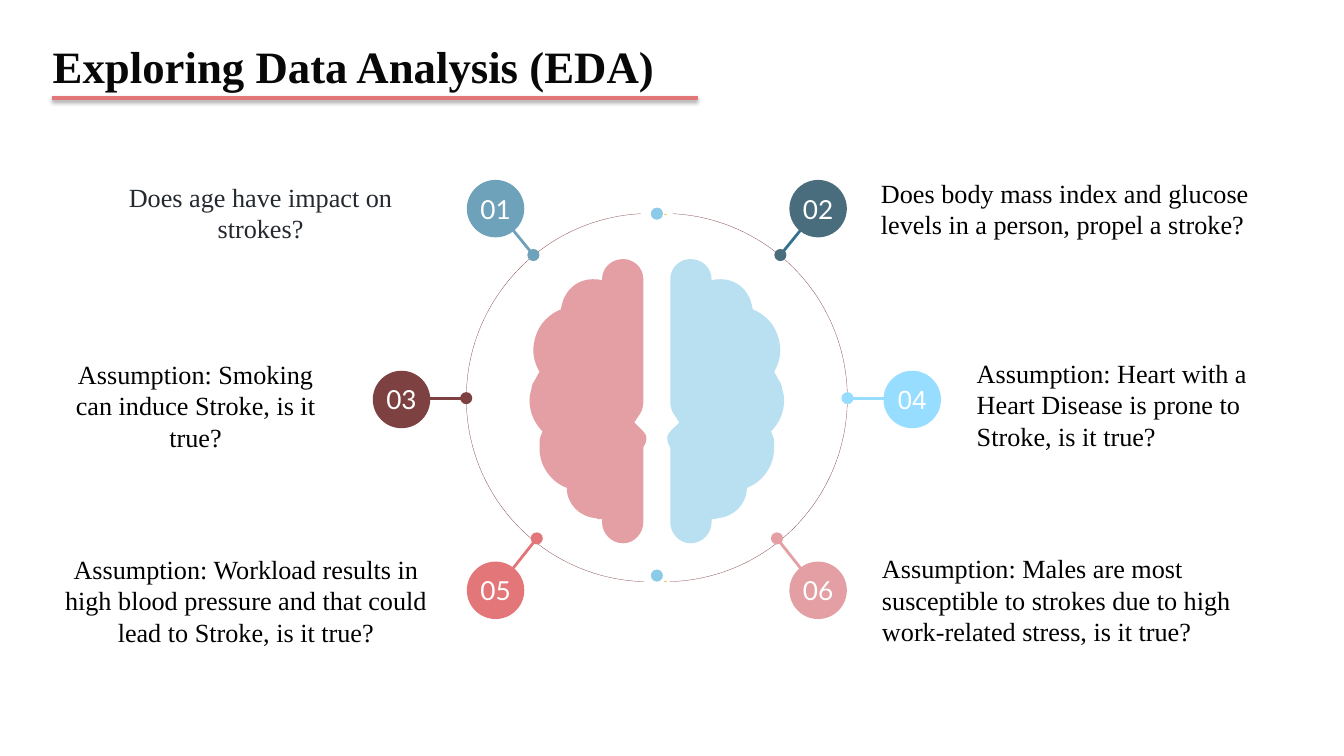
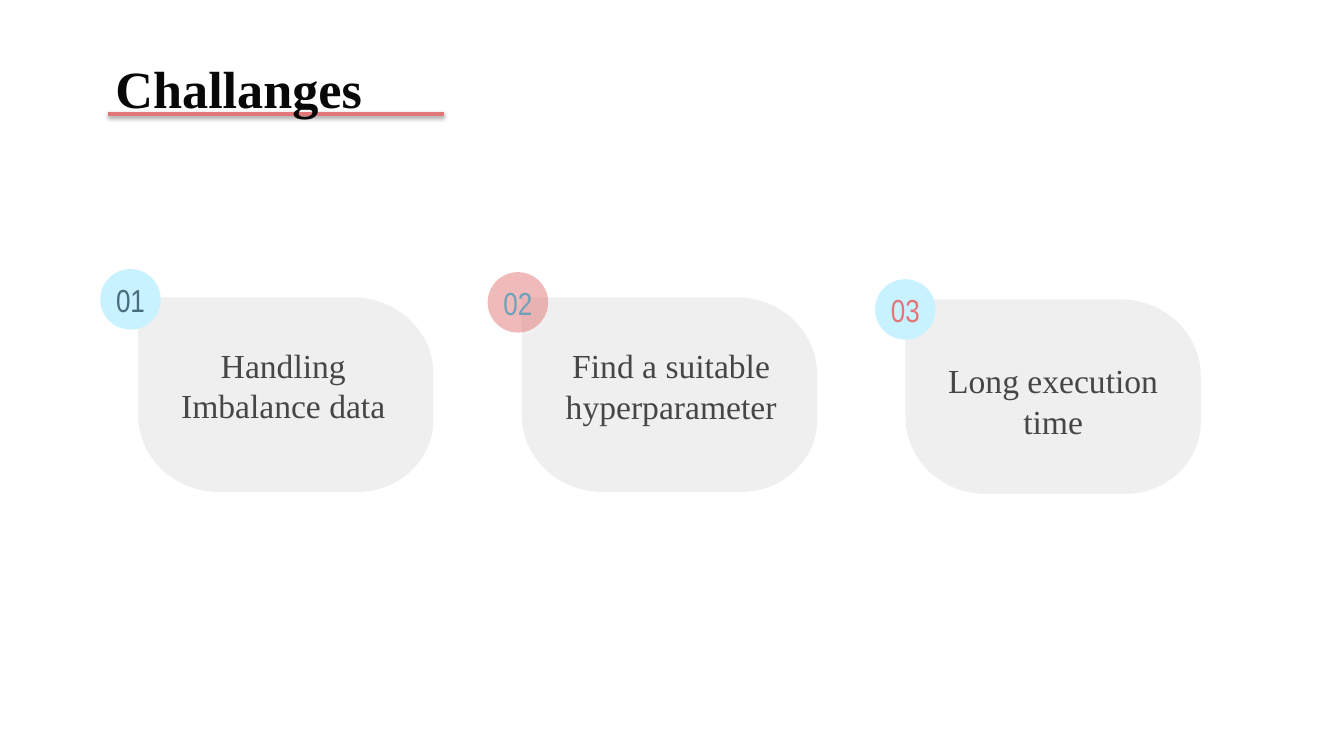
from collections import namedtuple
from dataclasses import dataclass

from lxml.etree import SubElement
from pptx import Presentation
from pptx.dml.color import RGBColor
from pptx.enum.shapes import MSO_CONNECTOR, MSO_SHAPE
from pptx.enum.text import MSO_ANCHOR, PP_ALIGN
from pptx.oxml.ns import qn
from pptx.util import Inches, Pt


@dataclass(frozen=True)
class Theme:
    black: str = "000000"
    title: str = "080808"
    ink: str = "24292F"
    grey: str = "464646"
    card: str = "EFEFEF"
    white: str = "FFFFFF"
    coral: str = "E37678"
    pink: str = "E39FA3"
    brown: str = "7E4142"
    steel: str = "6EA2BA"
    slate: str = "4A6D7D"
    navy: str = "337291"
    sky: str = "97DDFF"
    pale_sky: str = "C8F2FF"
    brain_blue: str = "B9E0F1"
    accent_blue: str = "8BCBE8"
    yellow: str = "FFC95C"
    serif: str = "Times New Roman"
    lato: str = "Lato"
    arial: str = "Arial"
    narrow: str = "Arial Narrow"
    body_size: float = 18.7
    card_size: float = 24
    card_number_size: float = 22.7
    hairline: float = 0.21
    stem: float = 2
    rule: float = 3


THEME = Theme()
SLIDE_WIDTH, SLIDE_HEIGHT = Inches(13.333), Inches(7.5)
COLUMNS, ROWS = 80, 45
TEXT_INSET = Inches(0.13)
AXIS = 39.1  # column of the brain's axis of symmetry
RING_TOP, RING_BOTTOM = 12.72, 34.62
OUTLINE_UNIT = 0.06  # grid cells per outline unit

# Outline steps: two numbers end a straight line, six hold a Bézier curve.
BRAIN_HALF = [
    (23, 0), (12, 0, 3, 9, 3, 20), (3, 141), (3, 145, 4, 150, 6, 153),
    (12, 162), (9, 166, 0, 172, 0, 177), (0, 181, 1, 184, 3, 187),
    (3, 261), (3, 272, 12, 282, 23, 282), (35, 282, 44, 272, 44, 261),
    (44, 258), (46, 258), (47, 258, 49, 258, 50, 257),
    (66, 256, 79, 243, 79, 227), (95, 221, 106, 205, 106, 188),
    (106, 186, 106, 183, 106, 181), (106, 177, 104, 174, 103, 171),
    (111, 163, 116, 152, 116, 140), (116, 136, 115, 132, 114, 129),
    (114, 125, 112, 122, 110, 119), (109, 116, 107, 114, 106, 112),
    (110, 105, 113, 96, 112, 87), (111, 77, 107, 67, 100, 60),
    (95, 55, 90, 52, 85, 50), (84, 47, 84, 45, 83, 42),
    (82, 39, 81, 37, 79, 34), (78, 32, 77, 31, 75, 29),
    (69, 23, 61, 20, 53, 20), (50, 20, 47, 20, 44, 21),
    (44, 20), (44, 9, 35, 0, 23, 0),
]
HALF_RING = [(16, 0), (112, 5, 189, 85, 189, 183), (189, 282, 111, 362, 13, 365)]
CARD = [
    (0, 0), (0, 117), (0, 159, 36, 193, 80, 193), (218, 193),
    (259, 193, 293, 161, 293, 122), (293, 76), (293, 34, 257, 0, 213, 0),
]

Question = namedtuple("Question", "number text box color stem font ink")
Challenge = namedtuple("Challenge", "number text box card_top badge_top fill alpha ink")

# Left and right question of each row, top to bottom.
QUESTIONS = [
    Question("01", "Does age have impact on strokes?", (4.2, 10.32, 22.62, 4.68),
             THEME.steel, THEME.steel, THEME.lato, THEME.ink),
    Question("02", "Does body mass index and glucose levels in a person, propel a stroke?",
             (51.66, 10.08, 26.4, 4.68), THEME.slate, THEME.navy, THEME.lato, THEME.black),
    Question("03", "Assumption: Smoking can induce Stroke, is it true?",
             (2.7, 21.78, 17.88, 4.68), THEME.brown, THEME.brown, THEME.lato, THEME.black),
    Question("04", "Assumption: Heart with a Heart Disease is prone to Stroke, is it true?",
             (57.36, 21.72, 20.52, 4.68), THEME.sky, THEME.sky, THEME.arial, THEME.black),
    Question("05", "Assumption: Workload results in high blood pressure and that could "
             "lead to Stroke, is it true?",
             (2.85, 32.82, 23.58, 5.82), THEME.coral, THEME.coral, THEME.lato, THEME.black),
    Question("06", "Assumption: Males are most susceptible to strokes due to high "
             "work-related stress, is it true?",
             (51.72, 33.36, 23.52, 4.68), THEME.pink, THEME.pink, THEME.lato, THEME.black),
]
# Per row: badge offset from the axis, dot offset from the axis, dot row.
SPOKES = [(9.6, 7.35, 15.18), (15.2, 11.35, 23.7), (9.6, 7.15, 32.05)]

CHALLENGES = [
    Challenge("01", "Handling Imbalance data", (8.22, 21.06, 17.28, 3.72),
              17.7, 16.02, THEME.pale_sky, None, THEME.slate),
    Challenge("02", "Find a suitable hyperparameter", (31.28, 21.06, 17.34, 3.78),
              17.7, 16.2, THEME.coral, 50, THEME.steel),
    Challenge("03", "Long execution time", (54.98, 21.96, 15.42, 3.78),
              17.82, 16.62, THEME.pale_sky, None, THEME.coral),
]


def across(columns):
    return round(SLIDE_WIDTH * columns / COLUMNS)


def down(rows):
    return round(SLIDE_HEIGHT * rows / ROWS)


def write_text(shape, text, font, size, color, alignment=PP_ALIGN.CENTER, bold=False):
    text_frame = shape.text_frame
    text_frame.text = text
    paragraph = text_frame.paragraphs[0]
    paragraph.alignment = alignment
    run_font = paragraph.runs[0].font
    run_font.name, run_font.size, run_font.bold = font, Pt(size), bold
    run_font.color.rgb = RGBColor.from_string(color)


def set_insets(text_frame, inset):
    text_frame.margin_left = text_frame.margin_right = inset
    text_frame.margin_top = text_frame.margin_bottom = inset


def add_text(slide, box, text, size, color, alignment=PP_ALIGN.LEFT,
             anchor=MSO_ANCHOR.MIDDLE, bold=False):
    left, top, width, height = box
    shape = slide.shapes.add_textbox(across(left), down(top), across(width), down(height))
    text_frame = shape.text_frame
    text_frame.word_wrap = True
    text_frame.vertical_anchor = anchor
    set_insets(text_frame, TEXT_INSET)
    write_text(shape, text, THEME.serif, size, color, alignment, bold)


def paint(shape, color, alpha=None):
    shape.shadow.inherit = False
    shape.line.fill.background()
    shape.fill.solid()
    shape.fill.fore_color.rgb = RGBColor.from_string(color)
    if alpha is not None:
        color_element = shape._element.spPr.find(qn("a:solidFill"))[0]
        SubElement(color_element, qn("a:alpha"), val=str(alpha * 1000))


def add_circle(slide, center, diameter, color, alpha=None):
    column, row = center
    shape = slide.shapes.add_shape(
        MSO_SHAPE.OVAL, across(column - diameter / 2), down(row - diameter / 2),
        across(diameter), down(diameter))
    paint(shape, color, alpha)
    return shape


def add_badge(slide, center, diameter, color, number, font, size, ink, alpha=None):
    shape = add_circle(slide, center, diameter, color, alpha)
    shape.text_frame.word_wrap = False
    shape.text_frame.vertical_anchor = MSO_ANCHOR.MIDDLE
    set_insets(shape.text_frame, 0)
    write_text(shape, number, font, size, ink)


def add_line(slide, start, end, color, width, shadow=False):
    line = slide.shapes.add_connector(
        MSO_CONNECTOR.STRAIGHT, across(start[0]), down(start[1]), across(end[0]), down(end[1]))
    line.line.color.rgb = RGBColor.from_string(color)
    line.line.width = Pt(width)
    effects = SubElement(line._element.spPr, qn("a:effectLst"))
    if shadow:
        outer = SubElement(effects, qn("a:outerShdw"), blurRad=str(Pt(3.1)),
                           dist=str(Pt(1.8)), dir="5400000", rotWithShape="0")
        color_element = SubElement(outer, qn("a:srgbClr"), val=THEME.black)
        SubElement(color_element, qn("a:alpha"), val="35000")


def add_outline(slide, outline, left, top, side=1, close=True):
    """Draw an outline; side -1 mirrors it leftwards from its left edge."""
    steps = [[(across(left + side * OUTLINE_UNIT * x), down(top + OUTLINE_UNIT * y))
              for x, y in zip(step[::2], step[1::2])] for step in outline]
    builder = slide.shapes.build_freeform(*steps[0][0])
    builder.add_line_segments([step[-1] for step in steps[1:]], close=close)
    shape = builder.convert_to_shape()
    segments = list(shape._element.iter(qn("a:lnTo")))
    for segment, step in zip(segments, steps[1:]):
        if len(step) == 3:
            bend_segment(segment, step, shape)
    return shape


def bend_segment(segment, controls, shape):
    """Replace a straight segment by a Bézier curve."""
    curve = segment.makeelement(qn("a:cubicBezTo"))
    for x, y in controls:
        SubElement(curve, qn("a:pt"), x=str(x - shape.left), y=str(y - shape.top))
    segment.getparent().replace(segment, curve)


def add_half_ring(slide, side):
    shape = add_outline(slide, HALF_RING, AXIS, RING_TOP, side, close=False)
    shape.shadow.inherit = False
    shape.fill.background()
    shape.line.color.rgb = RGBColor.from_string(THEME.brown)
    shape.line.width = Pt(THEME.hairline)


def add_title(slide, text, left, top, size, rule_start, rule_end, rule_row):
    add_line(slide, (rule_start, rule_row), (rule_end, rule_row),
             THEME.coral, THEME.rule, shadow=True)
    add_text(slide, (left, top, 52.08, 4.68), text, size, THEME.title,
             anchor=MSO_ANCHOR.BOTTOM, bold=True)


def add_brain(slide):
    for side, color in ((-1, THEME.pink), (1, THEME.brain_blue)):
        add_half_ring(slide, side)
        paint(add_outline(slide, BRAIN_HALF, AXIS + side * 0.62, 15.42, side), color)
    for row in (RING_TOP, RING_BOTTOM):
        add_line(slide, (AXIS + 0.44, row), (AXIS + 0.62, row), THEME.yellow, THEME.hairline)
    for row in (12.72, 34.26):
        add_circle(slide, (AXIS, row), 0.72, THEME.accent_blue)


def add_question(slide, index, question):
    row, column = divmod(index, 2)
    side = 1 if column else -1
    badge_offset, dot_offset, dot_row = SPOKES[row]
    badge = (AXIS + side * badge_offset, 12.42 + row * 11.36)
    dot = (AXIS + side * dot_offset, dot_row)
    # The middle spokes run level with their dots.
    stem_end = (badge[0], dot_row if row == 1 else badge[1])
    add_line(slide, dot, stem_end, question.stem, THEME.stem)
    add_circle(slide, dot, 0.72, question.color)
    add_badge(slide, badge, 3.42, question.color, question.number,
              question.font, THEME.body_size, THEME.white)
    add_text(slide, question.box, question.text, THEME.body_size, question.ink,
             PP_ALIGN.LEFT if column else PP_ALIGN.CENTER)


def add_challenge(slide, index, challenge):
    paint(add_outline(slide, CARD, 8.22 + index * 22.84, challenge.card_top), THEME.card)
    add_text(slide, challenge.box, challenge.text, THEME.card_size, THEME.grey, PP_ALIGN.CENTER)
    add_badge(slide, (7.77 + index * 23.06, challenge.badge_top + 1.8), 3.6, challenge.fill,
              challenge.number, THEME.narrow, THEME.card_number_size, challenge.ink,
              challenge.alpha)


def main():
    presentation = Presentation()
    presentation.slide_width, presentation.slide_height = SLIDE_WIDTH, SLIDE_HEIGHT
    blank = presentation.slide_layouts[6]

    analysis = presentation.slides.add_slide(blank)
    add_brain(analysis)
    for index, question in enumerate(QUESTIONS):
        add_question(analysis, index, question)
    add_title(analysis, "Exploring Data Analysis (EDA)", 2.36, 1.62, 32, 3.09, 41.52, 5.82)

    challenges = presentation.slides.add_slide(blank)
    for index, challenge in enumerate(CHALLENGES):
        add_challenge(challenges, index, challenge)
    add_title(challenges, "Challanges", 6.09, 3.18, 37.3, 6.42, 26.42, 6.78)

    presentation.save("out.pptx")


if __name__ == "__main__":
    main()
